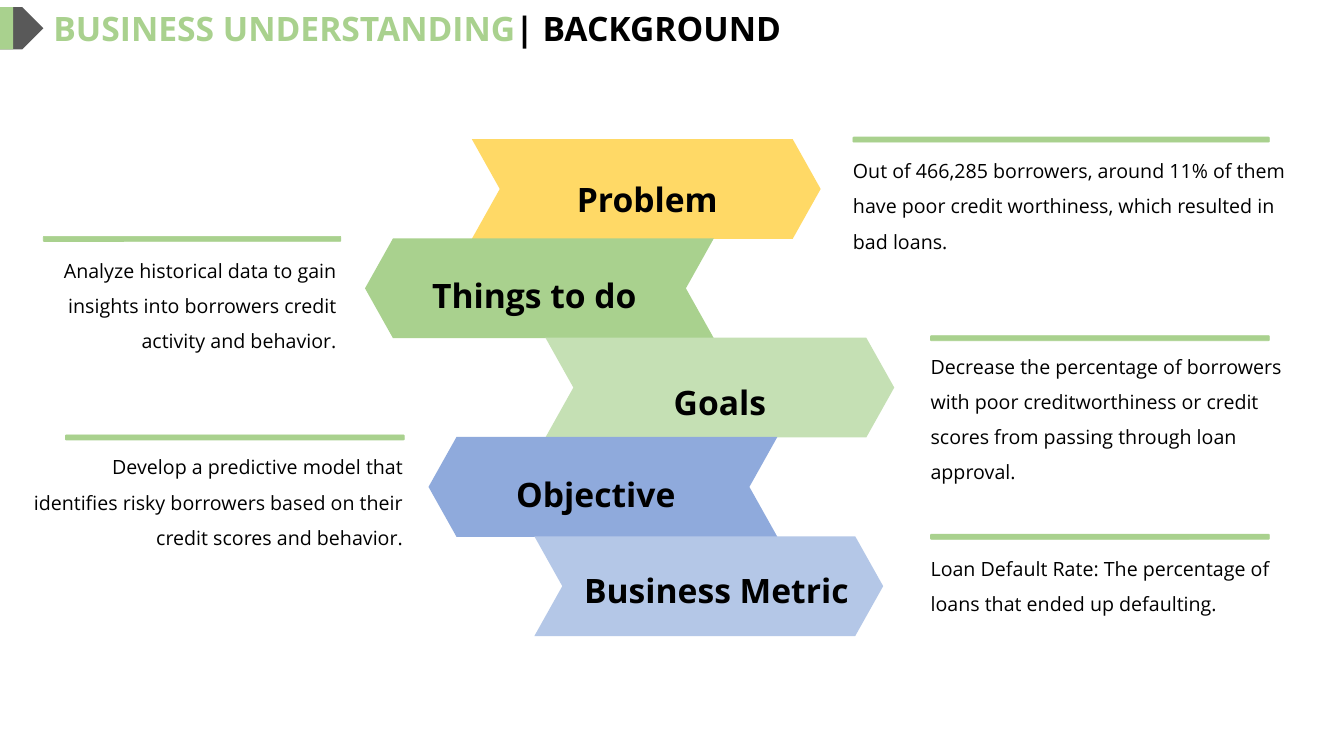
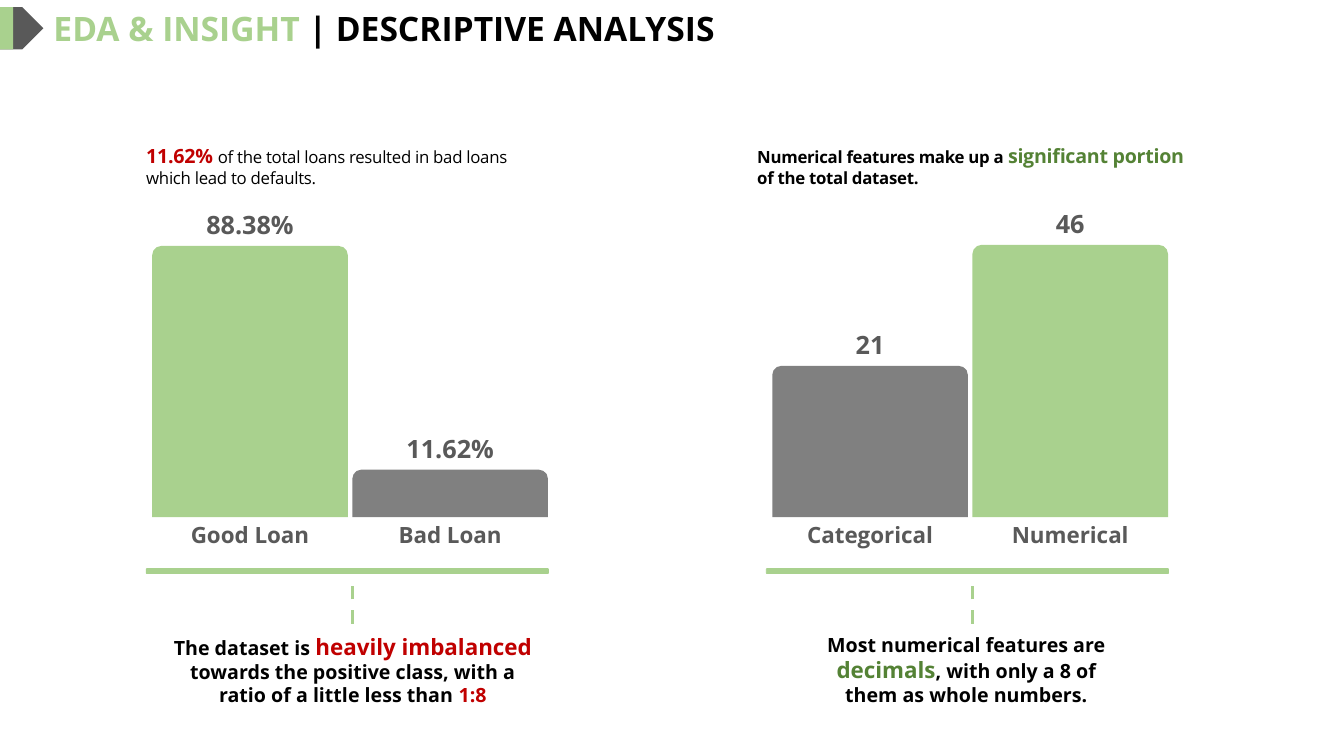
from dataclasses import dataclass

from lxml import etree
from pptx import Presentation, util as u
from pptx.dml.color import RGBColor
from pptx.enum import dml, shapes, text
from pptx.oxml.ns import qn


@dataclass(frozen=True)
class Theme:
    font: str = "Open Sans"
    black: str = "000000"
    dark_gray: str = "595959"
    gray: str = "808080"
    green: str = "A9D18E"
    pale_green: str = "C5E0B4"
    deep_green: str = "548235"
    yellow: str = "FFD966"
    blue: str = "8FAADC"
    pale_blue: str = "B4C7E7"
    red: str = "C00000"
    heading: int = 24
    value: int = 18
    accent: int = 16
    body: int = 14
    small: int = 12


theme = Theme()
PRESET = shapes.MSO_SHAPE
LEFT, CENTER, RIGHT = text.PP_ALIGN.LEFT, text.PP_ALIGN.CENTER, text.PP_ALIGN.RIGHT


def add_block(slide, preset, box, color, outline=0):
    block = slide.shapes.add_shape(preset, *map(u.Inches, box))
    block.shadow.inherit = False
    block.fill.solid()
    block.fill.fore_color.rgb = RGBColor.from_string(color)
    if outline:
        block.line.color.rgb = RGBColor.from_string(color)
        block.line.width = u.Pt(outline)
    else:
        block.line.fill.background()
    return block


def write_text(shape, runs, inset=0, tracking=0, **paragraph_format):
    """Fill one paragraph; each run is (text, size, color, bold)."""
    frame = shape.text_frame
    frame_format = {
        "word_wrap": True,
        "auto_size": text.MSO_AUTO_SIZE.NONE,
        "vertical_anchor": text.MSO_ANCHOR.TOP,
        "margin_left": u.Inches(inset),
        "margin_right": u.Inches(inset),
        "margin_top": u.Inches(inset / 2),
        "margin_bottom": u.Inches(inset / 2),
    }
    for name, value in frame_format.items():
        setattr(frame, name, value)
    paragraph = frame.paragraphs[0]
    for name, value in paragraph_format.items():
        setattr(paragraph, name, value)
    for words, size, color, bold in runs:
        run = paragraph.add_run()
        run.text = words
        run_format = {"name": theme.font, "size": u.Pt(size), "bold": bold}
        for name, value in run_format.items():
            setattr(run.font, name, value)
        run.font.color.rgb = RGBColor.from_string(color)
        if tracking:
            run._r.get_or_add_rPr().set("spc", str(tracking))


presentation = Presentation()
presentation.slide_width = u.Inches(13.33)
presentation.slide_height = u.Inches(7.5)

# Shared title and badge
title_only = presentation.slide_layouts[5]
title_format = {"left": 0.43, "top": 0.03, "width": 11.05, "height": 0.5}
for name, value in title_format.items():
    setattr(title_only.placeholders[0], name, u.Inches(value))

titles = [
    ("BUSINESS UNDERSTANDING", "| BACKGROUND"),
    ("EDA & INSIGHT ", "| DESCRIPTIVE ANALYSIS"),
]
slides = []
for section, topic in titles:
    slide = presentation.slides.add_slide(title_only)
    write_text(
        slide.shapes.title,
        [(section, theme.heading, theme.green, True),
         (topic, theme.heading, theme.black, True)],
        inset=0.1, alignment=LEFT,
    )
    add_block(slide, PRESET.PENTAGON, (0, 0.07, 0.43, 0.42), theme.dark_gray)
    add_block(slide, PRESET.RECTANGLE, (0, 0.07, 0.13, 0.42), theme.green)
    slides.append(slide)
background_slide, analysis_slide = slides

# Background: stacked arrows, alternately pointing right and left
RULE_HEIGHT = 0.05
ARROW_TOP, ARROW_STEP, ARROW_WIDTH, ARROW_HEIGHT = 1.38, 0.985, 3.46, 0.99
# arrow left, color, label, label box, label line spacing,
# rule left and width, description box, description
arrows = [
    (4.68, theme.yellow, "Problem", (4.92, 1.45, 3, 0.65), 51.9,
     8.46, 4.13, (8.46, 1.46, 4.32, 1.02),
     "Out of 466,285 borrowers, around 11% of them have poor credit "
     "worthiness, which resulted in bad loans."),
    (3.62, theme.green, "Things to do", (3.55, 2.54, 3.5, 0.54), 42.2,
     0.43, 2.95, (0.27, 2.45, 3.07, 1.02),
     "Analyze historical data to gain insights into borrowers credit "
     "activity and behavior."),
    (5.41, theme.pale_green, "Goals", (5.64, 3.47, 3, 0.65), 51.9,
     9.23, 3.36, (9.23, 3.4, 3.83, 1.38),
     "Decrease the percentage of borrowers with poor creditworthiness or "
     "credit scores from passing through loan approval."),
    (4.25, theme.blue, "Objective", (4.41, 4.38, 3, 0.65), 51.9,
     0.65, 3.36, (0.27, 4.4, 3.73, 1.02),
     "Develop a predictive model that identifies risky borrowers based on "
     "their credit scores and behavior."),
    (5.3, theme.pale_blue, "Business Metric", (5.44, 5.47, 3.33, 0.54), 42.2,
     9.23, 3.36, (9.23, 5.41, 3.83, 0.67),
     "Loan Default Rate: The percentage of loans that ended up defaulting."),
]
for index, (left, color, label, label_box, spacing, rule_left, rule_width,
            description_box, description) in enumerate(arrows):
    points_left = index % 2 == 1
    top = ARROW_TOP + index * ARROW_STEP
    arrow = add_block(background_slide, PRESET.CHEVRON,
                      (left, top, ARROW_WIDTH, ARROW_HEIGHT), color)
    arrow.adjustments[0] = 0.28
    arrow.rotation = 180 if points_left else 0
    add_block(background_slide, PRESET.ROUNDED_RECTANGLE,
              (rule_left, top - 0.02, rule_width, RULE_HEIGHT), theme.green, 0.5)
    label_shape = background_slide.shapes.add_textbox(*map(u.Inches, label_box))
    write_text(label_shape, [(label, theme.heading, theme.black, True)],
               alignment=CENTER, line_spacing=u.Pt(spacing))
    description_shape = background_slide.shapes.add_textbox(
        *map(u.Inches, description_box))
    write_text(description_shape, [(description, theme.body, theme.black, False)],
               alignment=RIGHT if points_left else LEFT, line_spacing=1.5)

# Descriptive analysis: two panels of two illustrative bars
BASELINE, BAR_WIDTH, BAR_STEP, CORNER = 5.13, 1.94, 1.985, 0.09
RULE_TOP, RULE_WIDTH = 5.64, 3.99
panels = [
    {
        "bars_left": 1.51,
        "rule_left": 1.45,
        "bars": [("Good Loan", "88.38%", 2.44, theme.green),
                 ("Bad Loan", "11.62%", 4.66, theme.gray)],
        "intro_box": (1.45, 1.43, 3.99, 0.45),
        "intro": [
            ("11.62% ", theme.body, theme.red, True),
            ("of the total loans resulted in bad loans which lead to defaults.",
             theme.small, theme.black, False),
        ],
        "finding_box": (1.67, 6.28, 3.66, 0.76),
        "finding": [
            ("The dataset is ", theme.body, theme.black, True),
            ("heavily imbalanced ", theme.accent, theme.red, True),
            ("towards the positive class, with a ratio of a little less than ",
             theme.body, theme.black, True),
            ("1:8", theme.body, theme.red, True),
        ],
    },
    {
        "bars_left": 7.66,
        "rule_left": 7.6,
        "bars": [("Categorical", "21", 3.63, theme.gray),
                 ("Numerical", "46", 2.43, theme.green)],
        "intro_box": (7.51, 1.43, 4.25, 0.45),
        "intro": [
            ("Numerical features make up a ", theme.small, theme.black, True),
            ("significant portion ", theme.body, theme.deep_green, True),
            ("of the total dataset.", theme.small, theme.black, True),
        ],
        "finding_box": (8.12, 6.28, 2.93, 0.76),
        "finding": [
            ("Most numerical features are ", theme.body, theme.black, True),
            ("decimals", theme.accent, theme.deep_green, True),
            (", with only a 8 of them as whole numbers.",
             theme.body, theme.black, True),
        ],
    },
]
for panel in panels:
    for index, (category, value, top, color) in enumerate(panel["bars"]):
        left = panel["bars_left"] + index * BAR_STEP
        height = BASELINE - top
        bar = add_block(analysis_slide, PRESET.ROUND_2_SAME_RECTANGLE,
                        (left, top, BAR_WIDTH, height), color)
        bar.adjustments[0] = CORNER / min(BAR_WIDTH, height)
        for words, size, words_top in [(value, theme.value, top - 0.36),
                                       (category, theme.accent, BASELINE + 0.04)]:
            caption = analysis_slide.shapes.add_textbox(
                *map(u.Inches, (left, words_top, BAR_WIDTH, 0.3)))
            write_text(caption, [(words, size, theme.dark_gray, True)],
                       alignment=CENTER)

    add_block(analysis_slide, PRESET.ROUNDED_RECTANGLE,
              (panel["rule_left"], RULE_TOP, RULE_WIDTH, RULE_HEIGHT),
              theme.green, 0.5)
    link_x = panel["bars_left"] + BAR_STEP
    link = analysis_slide.shapes.add_connector(
        shapes.MSO_CONNECTOR.STRAIGHT,
        *map(u.Inches, (link_x, 6.19, link_x, 5.73)))
    link.line.color.rgb = RGBColor.from_string(theme.green)
    link.line.width = u.Pt(2.5)
    link.line.dash_style = dml.MSO_LINE.DASH
    etree.SubElement(link._element.spPr, qn("a:effectLst"))

    for part, alignment, tracking in [("intro", LEFT, -20), ("finding", CENTER, 0)]:
        note = analysis_slide.shapes.add_textbox(
            *map(u.Inches, panel[part + "_box"]))
        write_text(note, panel[part], tracking=tracking, alignment=alignment,
                   space_before=u.Pt(1.1))

presentation.save("out.pptx")
